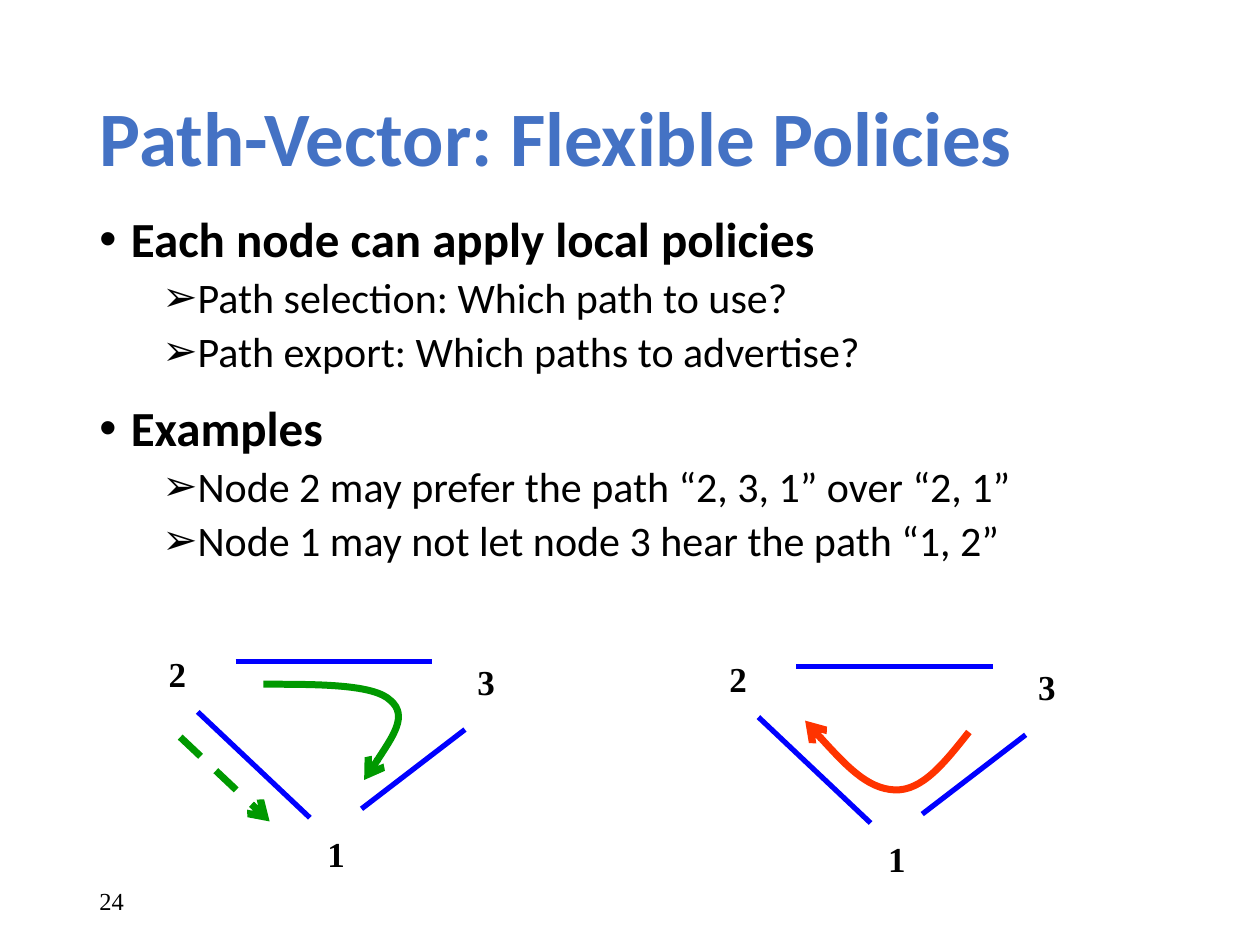
from lxml import etree
from pptx import Presentation
from pptx.dml.color import RGBColor
from pptx.enum.dml import MSO_LINE
from pptx.enum.shapes import MSO_CONNECTOR
from pptx.enum.text import MSO_ANCHOR, MSO_AUTO_SIZE, PP_ALIGN
from pptx.oxml.ns import qn
from pptx.util import Pt

STRAIGHT = MSO_CONNECTOR.STRAIGHT
DASH = MSO_LINE.DASH
MIDDLE = MSO_ANCHOR.MIDDLE
LEFT = PP_ALIGN.LEFT
FIT_SHAPE = MSO_AUTO_SIZE.SHAPE_TO_FIT_TEXT

COLORS = {"title": "4472C4", "text": "000000", "link": "0000FF",
          "preferred": "009900", "export": "FF3300"}
SANS, SERIF = "Calibri", "Times New Roman"
MARGIN, CONTENT_WIDTH = 49.7, 620.6


def add_text(paragraph, text, font, size, color, bold=False):
    run = paragraph.add_run()
    run.text = text
    run.font.name, run.font.size, run.font.bold = font, Pt(size), bold
    run.font.color.rgb = RGBColor.from_string(COLORS[color])


def style_line(shape, color, width, arrow=False):
    shape.line.color.rgb = RGBColor.from_string(COLORS[color])
    shape.line.width = Pt(width)
    properties = shape.line._get_or_add_ln()
    if arrow:
        etree.SubElement(properties, qn("a:tailEnd"), type="arrow")
    properties.addnext(etree.Element(qn("a:effectLst")))


prs = Presentation()
prs.slide_width, prs.slide_height = Pt(720), Pt(540)
slide = prs.slides.add_slide(prs.slide_layouts[5])

# Title
title = slide.shapes.title
title.left, title.top = Pt(MARGIN), Pt(28.8)
title.width, title.height = Pt(CONTENT_WIDTH), Pt(104.4)
title.text_frame.vertical_anchor = MIDDLE
heading = title.text_frame.paragraphs[0]
heading.alignment, heading.line_spacing = LEFT, 0.9
add_text(heading, "Path-Vector: Flexible Policies", SANS, 44, "title", True)

# Slide number
number = slide.shapes.add_textbox(Pt(MARGIN), Pt(500.4), Pt(162), Pt(28.8)).text_frame
number.word_wrap, number.vertical_anchor = True, MIDDLE
add_text(number.paragraphs[0], "24", SERIF, 14, "text")

# Policy list: level, text, space after
POLICIES = [
    (0, "Each node can apply local policies", 0),
    (1, "Path selection: Which path to use?", 0),
    (1, "Path export: Which paths to advertise?", 6),
    (0, "Examples", 0),
    (1, "Node 2 may prefer the path “2, 3, 1” over “2, 1”", 0),
    (1, "Node 1 may not let node 3 hear the path “1, 2”", 0),
]
body = slide.shapes.add_textbox(Pt(MARGIN), Pt(119.5), Pt(CONTENT_WIDTH), Pt(342.7)).text_frame
body.word_wrap = True
for index, (level, text, space_after) in enumerate(POLICIES):
    item = body.add_paragraph() if index else body.paragraphs[0]
    item.level = level
    indent = item._p.get_or_add_pPr()
    indent.set("marL", str(Pt(18 + 36 * level)))
    indent.set("indent", str(Pt(-18)))
    etree.SubElement(indent, qn("a:buFont"), typeface="Arial")
    etree.SubElement(indent, qn("a:buChar"), char="•➢"[level])
    item.line_spacing = 0.9
    item.space_before = Pt((10, 5)[level] if index else 0)
    item.space_after = Pt(space_after)
    add_text(item, text, SANS, (28, 24)[level], "text", level == 0)

# Two copies of the three-node network
NODES = [("2", 89.3, 369.4), ("3", 265.7, 373.7), ("1", 180, 472.3)]
LINKS = [(134.6, 378, 247, 378), (265.7, 416.9, 206.6, 462.2), (113, 406.8, 177.1, 467.3)]
for dx, dy in [(0, 0), (320.4, 3)]:
    network = slide.shapes.add_group_shape().shapes
    for name, x, y in NODES:
        node = network.add_textbox(Pt(x + dx), Pt(y + dy), Pt(24.5), Pt(31)).text_frame
        node.word_wrap, node.auto_size = False, FIT_SHAPE
        add_text(node.paragraphs[0], name, SERIF, 20, "text", True)
    for x1, y1, x2, y2 in LINKS:
        link = network.add_connector(STRAIGHT, Pt(x1 + dx), Pt(y1 + dy), Pt(x2 + dx), Pt(y2 + dy))
        style_line(link, "link", 3)

# Direct path from 2 to 1
direct = slide.shapes.add_connector(STRAIGHT, Pt(103), Pt(421.2), Pt(154.1), Pt(469.4))
style_line(direct, "preferred", 4, arrow=True)
direct.line.dash_style = DASH

# Curved paths: a start point, then two Bezier segments of three points each
CURVES = [
    ("preferred", [(150.5, 391), (182.2, 391), (213.8, 391), (223.2, 400.3),
                   (233.3, 409), (220.3, 427.7), (208.1, 445.7)]),
    ("export", [(553.7, 418.3), (540, 435.6), (527, 452.2), (511.2, 451.4),
                (495.4, 450.7), (477.4, 431.3), (460.1, 411.8)]),
]
for color, points in CURVES:
    start, *rest = [(Pt(x), Pt(y)) for x, y in points]
    builder = slide.shapes.build_freeform(*start)
    builder.add_line_segments(rest, close=False)
    route = builder.convert_to_shape()
    route.shadow.inherit = False
    route.fill.background()
    # Turn each three line segments into one cubic Bezier segment
    segments = list(route._element.iter(qn("a:lnTo")))
    outline = segments[0].getparent()
    for first in range(0, len(segments), 3):
        bezier = etree.SubElement(outline, qn("a:cubicBezTo"))
        for segment in segments[first:first + 3]:
            bezier.append(segment[0])
            outline.remove(segment)
    route.line.color.rgb = RGBColor.from_string(COLORS[color])
    route.line.width = Pt(4)
    etree.SubElement(route.line._get_or_add_ln(), qn("a:tailEnd"), type="arrow")

prs.save("out.pptx")
